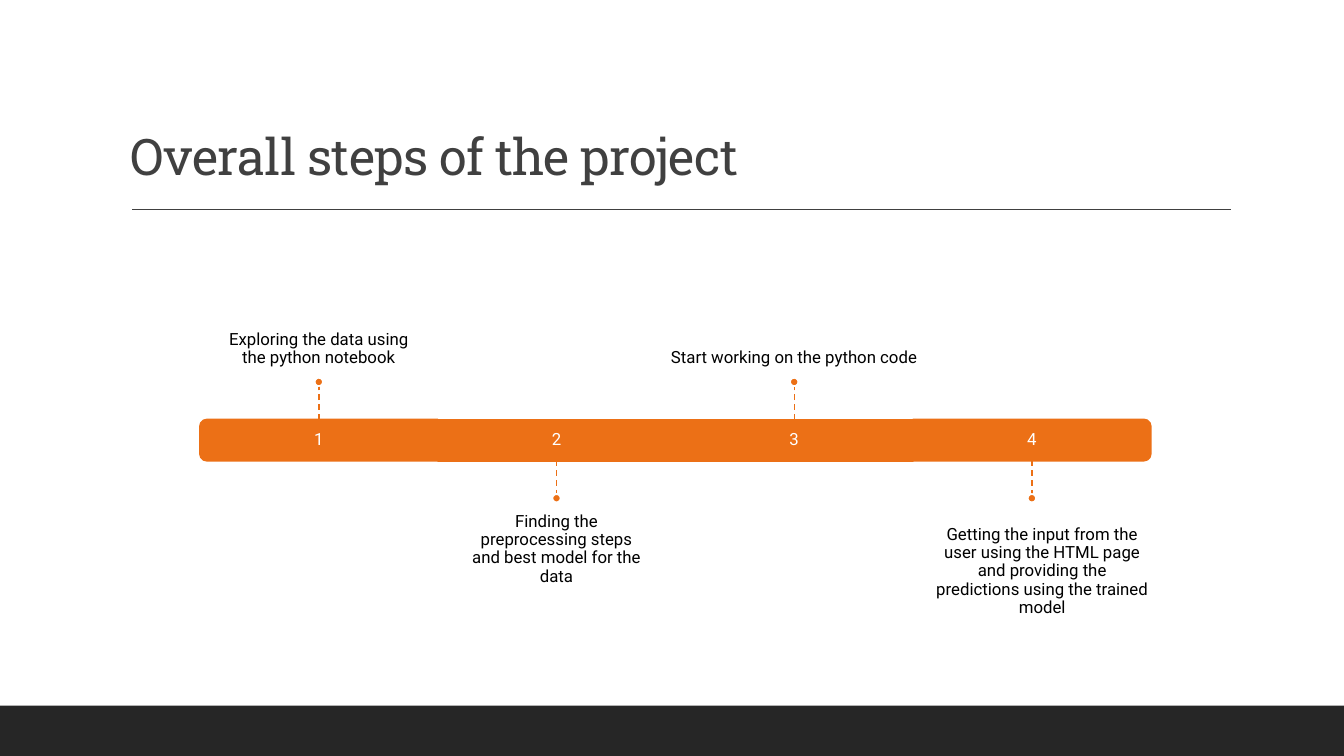
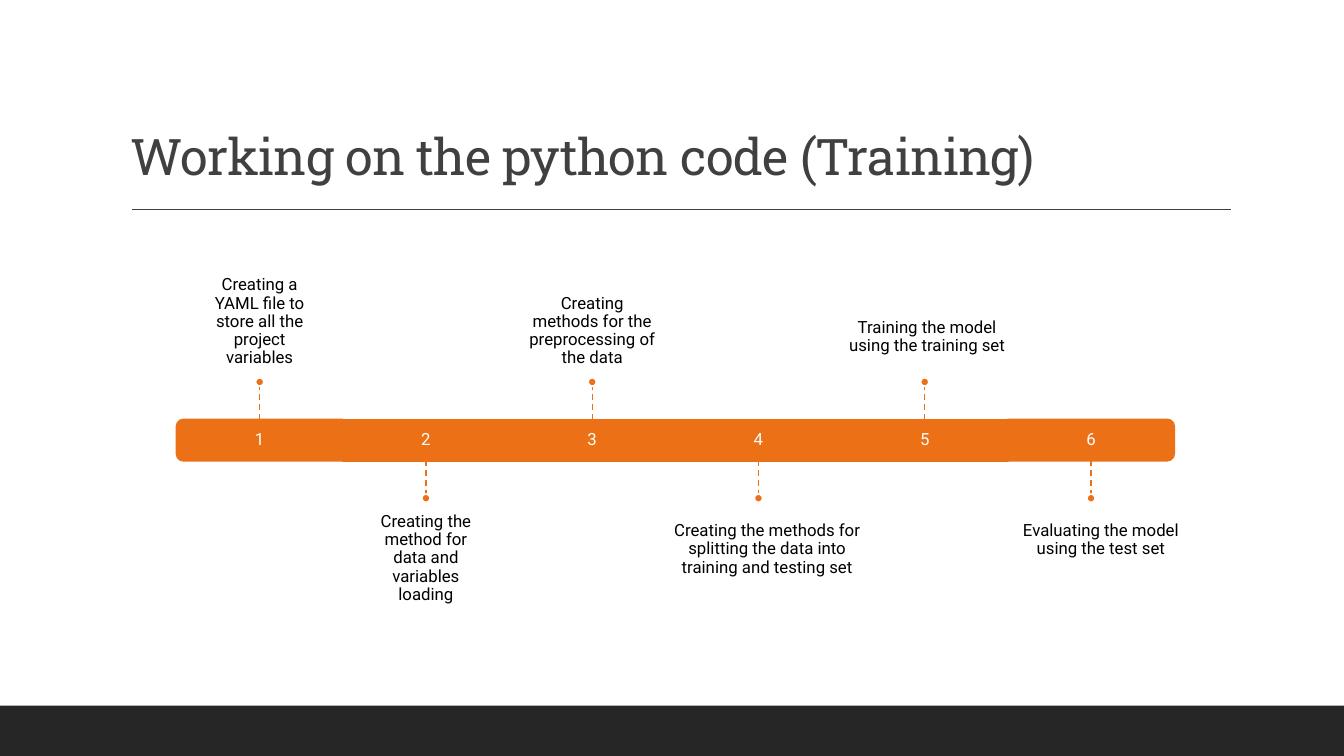
from dataclasses import dataclass

from lxml.etree import SubElement
from pptx import Presentation
from pptx.dml.color import RGBColor as Rgb
from pptx.enum.dml import MSO_LINE as Dash
from pptx.enum.shapes import MSO_CONNECTOR as Conn, MSO_SHAPE as Kind
from pptx.enum.text import MSO_ANCHOR as Anchor, MSO_AUTO_SIZE as Fit, PP_ALIGN as Align
from pptx.oxml.ns import qn
from pptx.util import Cm, Pt


@dataclass(frozen=True)
class Theme:
    accent: str = "EC7016"
    dark: str = "262626"
    grey: str = "404040"
    white: str = "FFFFFF"
    black: str = "000000"
    head: str = "Roboto Slab"
    body: str = "Roboto"
    big: int = 36
    small: int = 12
    thin: float = 1
    edge: float = 1.25


def write(frame, text, *, font, size, color, align=Align.CENTER,
          anchor=Anchor.MIDDLE, inset=0, track=0):
    frame.word_wrap = True
    frame.auto_size = Fit.NONE
    frame.vertical_anchor = anchor
    frame.margin_left = frame.margin_right = Cm(inset)
    frame.margin_top = frame.margin_bottom = Cm(inset / 2)
    para = frame.paragraphs[0]
    para.alignment = align
    para.line_spacing = 0.9
    run = para.add_run()
    run.text = text
    run.font.name = font
    run.font.size = Pt(size)
    run.font.color.rgb = Rgb.from_string(color)
    if track:
        run.font._element.set("spc", str(track))


class Deck:
    """Draws timeline slides in one shared style."""

    wide, high = 33.87, 19.05
    center, middle = 17.02, 11.09
    thick, stem, dot = 1.04, 0.84, 0.21

    def __init__(self, theme):
        self.theme = theme
        self.file = Presentation()
        self.file.slide_width = Cm(self.wide)
        self.file.slide_height = Cm(self.high)
        self.slide = None

    def page(self, title):
        look = self.theme
        self.slide = self.file.slides.add_slide(self.file.slide_layouts[5])
        self.shape(Kind.RECTANGLE, 0, 17.78, self.wide, 1.27, fill=look.dark)
        self.line(3.33, 5.28, 31.01, 5.28, color=look.grey)
        head = self.slide.shapes.title
        head.left, head.top, head.width, head.height = map(Cm, (3.05, 0.79, 27.94, 4.04))
        write(head.text_frame, title, font=look.head, size=look.big, color=look.grey,
              align=Align.LEFT, anchor=Anchor.BOTTOM, inset=0.25, track=-50)

    def shape(self, kind, left, top, width, height, *, fill, edge=None, turn=0):
        item = self.slide.shapes.add_shape(kind, *map(Cm, (left, top, width, height)))
        item.shadow.inherit = False
        item.rotation = turn
        item.fill.solid()
        item.fill.fore_color.rgb = Rgb.from_string(fill)
        if edge:
            item.line.color.rgb = Rgb.from_string(edge)
            item.line.width = Pt(self.theme.edge)
        else:
            item.line.fill.background()

    def line(self, left, top, right, bottom, *, color, dash=None):
        item = self.slide.shapes.add_connector(
            Conn.STRAIGHT, *map(Cm, (left, top, right, bottom)))
        item.line.color.rgb = Rgb.from_string(color)
        item.line.width = Pt(self.theme.thin)
        if dash:
            item.line.dash_style = dash
        SubElement(item._element.spPr, qn("a:effectLst"))

    def label(self, text, left, top, width, height, *, color, anchor=Anchor.MIDDLE):
        box = self.slide.shapes.add_textbox(*map(Cm, (left, top, width, height)))
        write(box.text_frame, text, font=self.theme.body, size=self.theme.small,
              color=color, anchor=anchor)

    def block(self, mid, step, turn):
        tint = self.theme.accent
        if turn:
            kind, width, height = Kind.ROUND_2_SAME_RECTANGLE, self.thick, step
        else:
            kind, width, height = Kind.RECTANGLE, step, self.thick
        self.shape(kind, mid - width / 2, self.middle - height / 2, width, height,
                   fill=tint, edge=tint, turn=turn)

    def pin(self, mid, side):
        look = self.theme
        base = self.middle + side * self.thick / 2
        tip = base + side * self.stem
        self.line(mid, base, mid, tip, color=look.accent, dash=Dash.DASH)
        spot = tip + side * self.dot / 2
        self.shape(Kind.OVAL, mid - self.dot / 2, spot - self.dot / 2, self.dot, self.dot,
                   fill=look.accent, edge=look.white)

    def note(self, text, mid, side, width, gap, tall=3.5):
        near = self.middle + side * (self.thick / 2 + gap)
        top, anchor = (near, Anchor.TOP) if side > 0 else (near - tall, Anchor.BOTTOM)
        self.label(text, mid - width / 2, top, width, tall,
                   color=self.theme.black, anchor=anchor)

    def steps(self, step, items):
        last = len(items) - 1
        for spot, (text, width, gap, shift) in enumerate(items):
            mid = self.center + (spot - last / 2) * step
            side = 1 if spot % 2 else -1
            self.block(mid, step, {0: 270, last: 90}.get(spot, 0))
            self.label(str(spot + 1), mid - step / 2, self.middle - self.thick / 2,
                       step, self.thick, color=self.theme.white)
            self.pin(mid, side)
            self.note(text, mid + shift, side, width, gap)


PAGES = [
    ("Overall steps of the project", 5.99, [
        ("Exploring the data using the python notebook", 5.08, 1.32, 0),
        ("Finding the preprocessing steps and best model for the data", 4.34, 1.32, 0),
        ("Start working on the python code", 6.65, 1.32, 0),
        ("Getting the input from the user using the HTML page and providing the "
         "predictions using the trained model", 5.4, 1.65, 0.26),
    ]),
    ("Working on the python code (Training)", 4.19, [
        ("Creating a YAML file to store all the project variables", 3.05, 1.32, 0),
        ("Creating the method for data and variables loading", 2.95, 1.32, 0),
        ("Creating methods for the preprocessing of the data", 3.25, 1.32, 0),
        ("Creating the methods for splitting the data into training and testing set",
         4.88, 1.55, 0.22),
        ("Training the model using the training set", 4.55, 1.62, 0.06),
        ("Evaluating the model using the test set", 4.88, 1.55, 0.25),
    ]),
]


def main():
    deck = Deck(Theme())
    for title, step, items in PAGES:
        deck.page(title)
        deck.steps(step, items)
    deck.file.save("out.pptx")


if __name__ == "__main__":
    main()
